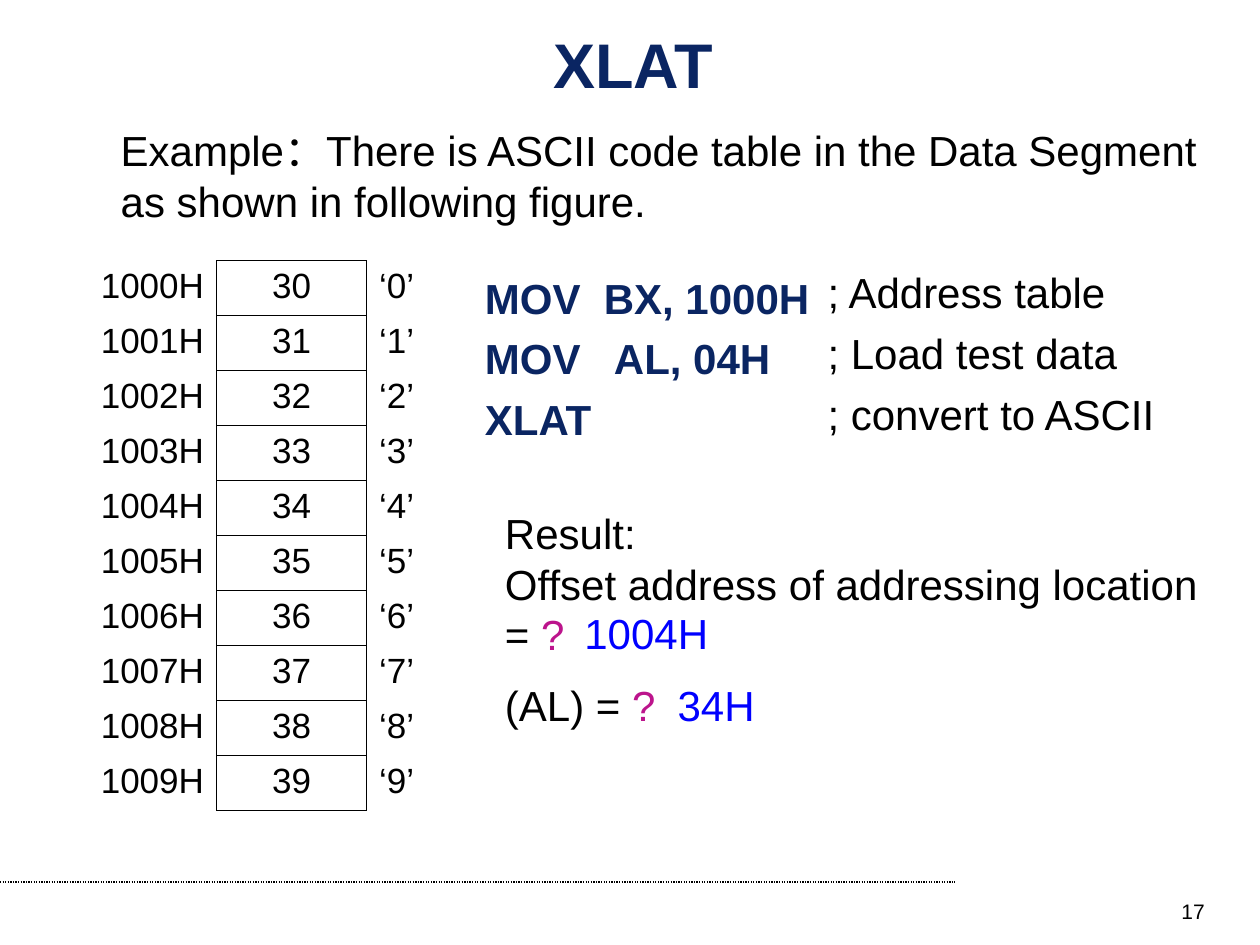
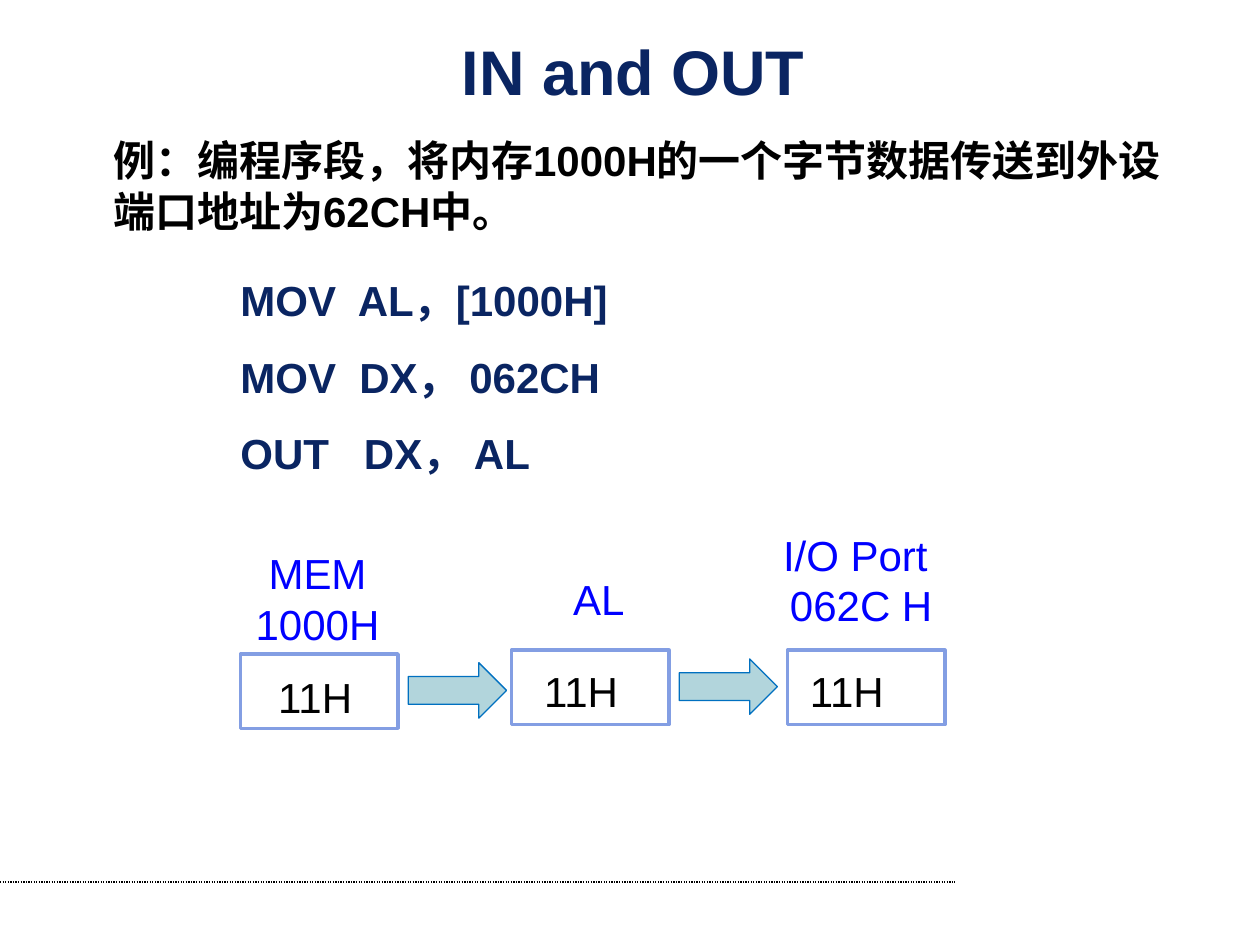
from dataclasses import dataclass

from lxml import etree
from pptx import Presentation
from pptx import util as u
from pptx.dml.color import RGBColor
from pptx.enum import dml, shapes, text
from pptx.oxml import ns

LEFT, CENTER, RIGHT = text.PP_ALIGN.LEFT, text.PP_ALIGN.CENTER, text.PP_ALIGN.RIGHT


@dataclass(frozen=True)
class Theme:
    font: str = "Arial"
    ink: str = "000000"
    navy: str = "0A2562"
    answer: str = "0000FF"
    question: str = "BC148C"
    white: str = "FFFFFF"
    cell_line: str = "839EE3"
    arrow_fill: str = "B2D5DC"
    arrow_line: str = "0070C0"
    title_size: int = 36
    body_size: int = 24
    table_size: int = 20
    number_size: int = 12


THEME = Theme()

# Boxes are (left, top, width, height) in inches.
XLAT = {
    "title": "XLAT",
    "title_top": 0.25,
    "number": "17",
    "example": "Example：There is ASCII code table in the Data Segment "
               "as shown in following figure.",
    "code": ["MOV  BX, 1000H", "MOV   AL, 04H", "XLAT"],
    "comments": ["; Address table", "; Load test data", "; convert to ASCII"],
    "result": ["Result:",
               [("Offset address of addressing location = ", THEME.ink),
                ("?", THEME.question)],
               [("(AL) = ", THEME.ink), ("?", THEME.question)]],
    "answers": [("1004H", (4.54, 4.77, 1.9, 0.5)),
                ("34H", (5.28, 5.34, 1.2, 0.5))],
}
ASCII_ROWS = [(f"{0x1000 + digit:X}H", f"{0x30 + digit:X}", f"‘{digit}’")
              for digit in range(10)]
ASCII_COLUMNS = [(1.09, RIGHT, "R"), (1.19, CENTER, "LRTB"), (1.0, LEFT, "L")]

IN_OUT = {
    "title": "IN and OUT",
    "title_top": 0.31,
    "example": "例：编程序段，将内存1000H的一个字节数据传送到外设端口地址为62CH中。",
    "code": ["MOV  AL，[1000H]", "MOV  DX， 062CH", "OUT   DX， AL"],
}
# Label lines, label box, label alignment, cell corner, value corner
STAGES = [
    (["MEM", "1000H"], (1.76, 4.3, 1.52, 0.9), CENTER, (1.91, 5.19), (2.11, 5.28)),
    (["AL"], (4.45, 4.5, 0.78, 0.5), LEFT, (4.06, 5.16), (4.22, 5.23)),
    (["I/O Port ", "062C H"], (6.01, 4.15, 1.65, 0.9), CENTER, (6.25, 5.16), (6.33, 5.23)),
]
STAGE_VALUE = "11H"
CELL_SIZE, VALUE_SIZE, ARROW_SIZE = (1.25, 0.59), (0.86, 0.5), (0.78, 0.44)
ARROW_OFFSET = (1.33, 0.07)


def inches(values):
    return [u.Inches(value) for value in values]


def style_span(span, size, color, bold=False):
    span.font.name = THEME.font
    span.font.size = u.Pt(size)
    span.font.bold = bold
    span.font.color.rgb = RGBColor.from_string(color)


def add_text(slide, box, lines, size=THEME.body_size, color=THEME.ink,
             bold=False, align=LEFT, gaps=(), anchor=text.MSO_ANCHOR.TOP):
    """Write lines, each a string or a list of (text, colour); gaps precede lines 2, 3..."""
    frame = slide.shapes.add_textbox(*inches(box)).text_frame
    frame.word_wrap = True
    frame.vertical_anchor = anchor
    for index, line in enumerate(lines):
        para = frame.add_paragraph() if index else frame.paragraphs[0]
        para.alignment = align
        if index and gaps:
            para.space_before = u.Pt(gaps[index - 1])
        for words, shade in [(line, color)] if isinstance(line, str) else line:
            span = para.add_run()
            span.text = words
            style_span(span, size, shade, bold)


def add_base_slide(deck, content):
    """Add a slide with the shared title and footer rule."""
    slide = deck.slides.add_slide(deck.slide_layouts[6])
    rule = slide.shapes.add_connector(shapes.MSO_CONNECTOR.STRAIGHT,
                                      *inches((0, 7, 7.58, 7)))
    rule.line.color.rgb = RGBColor.from_string(THEME.ink)
    rule.line.width = u.Pt(0.75)
    rule.line.dash_style = dml.MSO_LINE.ROUND_DOT
    etree.SubElement(rule._element.spPr, ns.qn("a:effectLst"))
    add_text(slide, (0.5, content["title_top"], 9.05, 0.5), [content["title"]],
             THEME.title_size, THEME.navy, True, CENTER,
             anchor=text.MSO_ANCHOR.MIDDLE)
    return slide


def set_borders(cell, visible):
    """Draw the sides named in visible and hide the others."""
    properties = cell._tc.get_or_add_tcPr()
    for position, side in enumerate("LRTB"):
        edge = etree.Element(ns.qn(f"a:ln{side}"), w=str(u.Pt(0.45)))
        if side in visible:
            fill = etree.SubElement(edge, ns.qn("a:solidFill"))
            etree.SubElement(fill, ns.qn("a:srgbClr"), val=THEME.ink)
        else:
            etree.SubElement(edge, ns.qn("a:noFill"))
        properties.insert(position, edge)


def add_ascii_table(slide):
    width = sum(column[0] for column in ASCII_COLUMNS)
    table = slide.shapes.add_table(len(ASCII_ROWS), len(ASCII_COLUMNS),
                                   *inches((0.63, 2.07, width, 4.36))).table
    table.first_row = table.horz_banding = False
    for column, (column_width, _, _) in zip(table.columns, ASCII_COLUMNS):
        column.width = u.Inches(column_width)
    for row, values in enumerate(ASCII_ROWS):
        for index, (value, (_, align, sides)) in enumerate(zip(values, ASCII_COLUMNS)):
            cell = table.cell(row, index)
            cell.fill.background()
            set_borders(cell, sides)
            para = cell.text_frame.paragraphs[0]
            para.text = value
            para.alignment = align
            style_span(para.runs[0], THEME.table_size, THEME.ink)


def add_block(slide, kind, corner, size, fill, line, line_width):
    block = slide.shapes.add_shape(kind, *inches((*corner, *size)))
    block.shadow.inherit = False
    block.fill.solid()
    block.fill.fore_color.rgb = RGBColor.from_string(fill)
    block.line.color.rgb = RGBColor.from_string(line)
    block.line.width = u.Pt(line_width)


def build_xlat(deck):
    slide = add_base_slide(deck, XLAT)
    add_text(slide, (7.33, 7.08, 2.33, 0.27), [XLAT["number"]],
             THEME.number_size, align=RIGHT)
    add_text(slide, (0.86, 0.94, 8.81, 0.9), [XLAT["example"]])
    add_ascii_table(slide)
    add_text(slide, (3.75, 2.11, 2.89, 1.47), XLAT["code"],
             color=THEME.navy, bold=True, gaps=(6, 6))
    add_text(slide, (6.47, 2.07, 3.14, 1.47), XLAT["comments"], gaps=(6, 6))
    add_text(slide, (3.91, 3.98, 5.86, 1.87), XLAT["result"], gaps=(0, 12))
    for answer, box in XLAT["answers"]:
        add_text(slide, box, [answer], color=THEME.answer)


def build_in_out(deck):
    slide = add_base_slide(deck, IN_OUT)
    add_text(slide, (0.8, 1.02, 8.73, 0.9), [IN_OUT["example"]], bold=True)
    add_text(slide, (1.81, 2.13, 3.75, 1.72), IN_OUT["code"],
             color=THEME.navy, bold=True, gaps=(15, 15))
    for index, (label, label_box, align, corner, value_corner) in enumerate(STAGES):
        add_block(slide, shapes.MSO_SHAPE.RECTANGLE, corner, CELL_SIZE,
                  THEME.white, THEME.cell_line, 2)
        add_text(slide, label_box, label, color=THEME.answer, align=align)
        add_text(slide, (*value_corner, *VALUE_SIZE), [STAGE_VALUE])
        if index < len(STAGES) - 1:
            arrow_corner = [a + b for a, b in zip(corner, ARROW_OFFSET)]
            add_block(slide, shapes.MSO_SHAPE.RIGHT_ARROW, arrow_corner, ARROW_SIZE,
                      THEME.arrow_fill, THEME.arrow_line, 0.75)


def main():
    deck = Presentation()
    deck.slide_width, deck.slide_height = inches((10, 7.5))
    build_xlat(deck)
    build_in_out(deck)
    deck.save("out.pptx")


if __name__ == "__main__":
    main()
